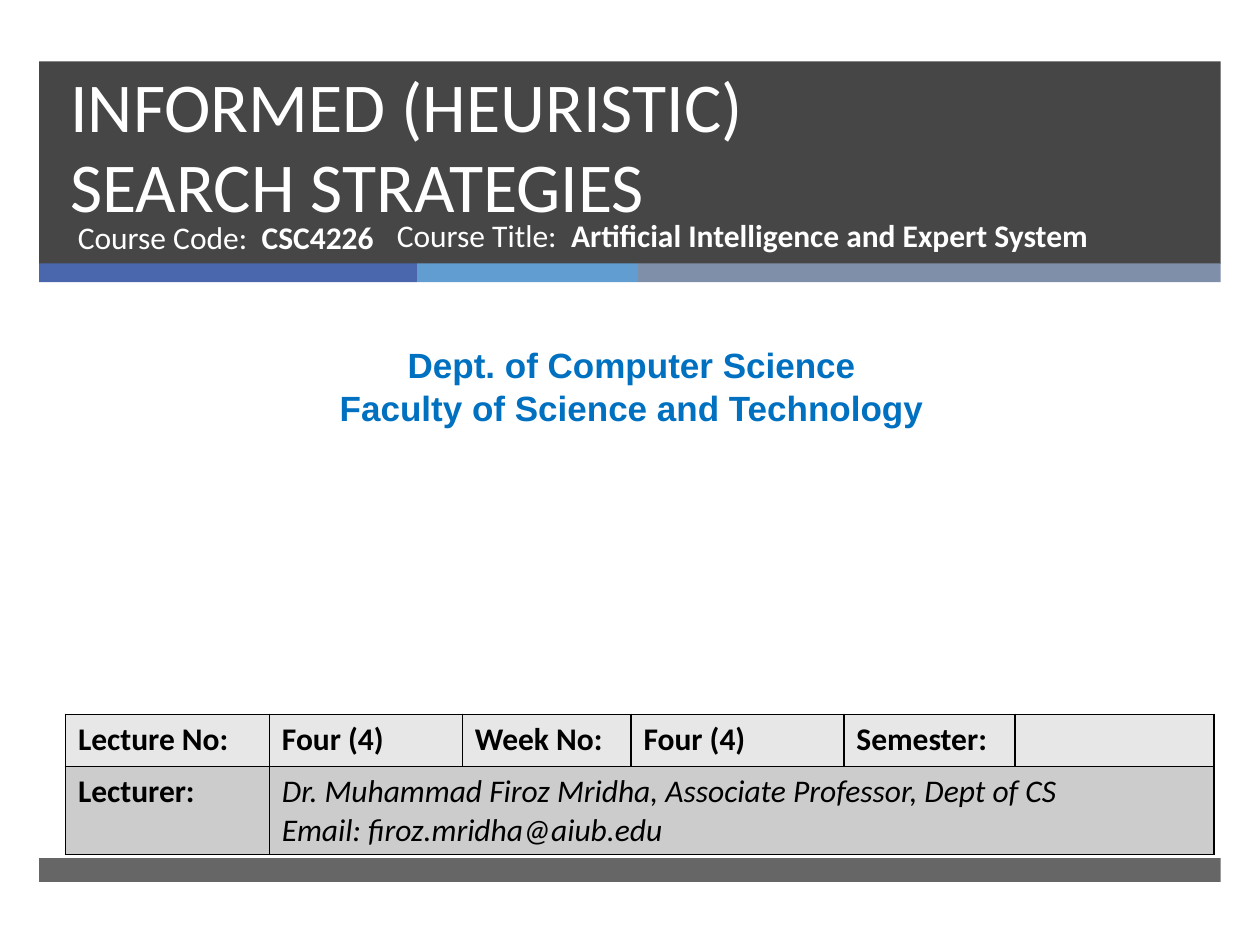
import pptx
import pptx.util
import pptx.dml.color
import pptx.enum.shapes
import pptx.enum.text
import pptx.oxml
import pptx.oxml.ns

Cm, Pt = pptx.util.Cm, pptx.util.Pt
ALIGN, ANCHOR = pptx.enum.text.PP_ALIGN, pptx.enum.text.MSO_ANCHOR

COLORS = {"dark": "262626", "indigo": "4A66AC", "sky": "629DD1", "slate": "7F8FA9",
          "white": "FFFFFF", "blue": "0070C0", "black": "000000",
          "light_row": "E7E7E7", "dark_row": "CCCCCC"}

# Content: bars as (top, height, opacity in percent), strips as (width, colour)
BAR_LEFT, BAR_WIDTH = 0.79, 23.82
BARS = [(1.24, 4.08, 85), (17.3, 0.48, 70)]
STRIP_TOP, STRIP_HEIGHT = 5.31, 0.38
STRIPS = [(7.62, "indigo"), (4.45, "sky"), (11.75, "slate")]

# Text formats
TITLE = {"name": "Calibri", "size": Pt(40), "color": "white"}
LABEL = {"name": "Calibri", "size": Pt(18), "color": "white"}
VALUE = {**LABEL, "bold": True}
DEPT = {"name": "Arial", "size": Pt(20), "color": "blue", "bold": True}
HEAD = {**VALUE, "color": "black"}
DETAIL = {**LABEL, "color": "black", "italic": True}

# Text boxes: (left, top, width, height), paragraphs of runs, frame and paragraph settings
BREAK = ("\n", None)
TEXTS = [
    ((1.17, 1.68, 21.69, 3.02),
     [[("INFORMED (HEURISTIC) ", TITLE), BREAK, ("SEARCH STRATEGIES", TITLE)]],
     {"vertical_anchor": ANCHOR.BOTTOM}, {"line_spacing": Pt(46)}),
    ((1.32, 4.27, 7.75, 1.35),
     [[("Course Code:  ", LABEL), ("CSC4226", VALUE)]], {}, {}),
    ((7.75, 4.24, 14.53, 1.35),
     [[("Course Title:  ", LABEL), ("Artificial Intelligence and Expert System", VALUE)]], {}, {}),
    ((0.2, 6.81, 25.07, 1.96),
     [[("Dept. of Computer Science", DEPT)], [("Faculty of Science and Technology", DEPT)]],
     {}, {"alignment": ALIGN.CENTER, "line_spacing": Pt(24)}),
]

# Lecture table
TABLE_LEFT, TABLE_TOP = 1.32, 14.4
COLUMNS = [4.11, 3.89, 3.4, 4.29, 3.45, 4.01]
ROWS = [(1.05, "light_row"), (1.77, "dark_row")]
CELLS = [
    [[[(text, HEAD)]] for text in
     ("Lecture No:", "Four (4)", "Week No:", "Four (4)", "Semester:", "")],
    [[[("Lecturer:", HEAD)]],
     [[("Dr. Muhammad Firoz Mridha, Associate Professor, Dept of CS", DETAIL)],
      [("Email: firoz.mridha@aiub.edu", DETAIL)]]],
]


def rgb(name):
    return pptx.dml.color.RGBColor.from_string(COLORS[name])


def add_bar(s, left, top, width, height, color, opacity=100):
    sp = s.shapes.add_shape(pptx.enum.shapes.MSO_SHAPE.RECTANGLE,
                            Cm(left), Cm(top), Cm(width), Cm(height))
    sp.shadow.inherit = False
    sp.fill.solid()
    sp.fill.fore_color.rgb = rgb(color)
    sp.line.fill.background()
    if opacity < 100:
        clr = sp.fill._xPr.find(".//" + pptx.oxml.ns.qn("a:srgbClr"))
        alpha = pptx.oxml.parse_xml(
            f'<a:alpha {pptx.oxml.ns.nsdecls("a")} val="{opacity * 1000}"/>')
        clr.append(alpha)


def write(tf, paragraphs, settings):
    for i, runs in enumerate(paragraphs):
        p = tf.add_paragraph() if i else tf.paragraphs[0]
        for key, value in settings.items():
            setattr(p, key, value)
        for text, fmt in runs:
            if fmt is None:
                p.add_line_break()
                continue
            r = p.add_run()
            r.text = text
            for key, value in fmt.items():
                if key == "color":
                    r.font.color.rgb = rgb(value)
                else:
                    setattr(r.font, key, value)


def style_cell(cell, color):
    tcPr = cell._tc.get_or_add_tcPr()
    for side in "LRTB":
        tcPr.append(pptx.oxml.parse_xml(
            f'<a:ln{side} {pptx.oxml.ns.nsdecls("a")} w="12700"><a:solidFill>'
            f'<a:srgbClr val="{COLORS["black"]}"/></a:solidFill></a:ln{side}>'))
    cell.fill.solid()
    cell.fill.fore_color.rgb = rgb(color)


def add_lecture_table(s):
    table = s.shapes.add_table(
        len(ROWS), len(COLUMNS), Cm(TABLE_LEFT), Cm(TABLE_TOP),
        Cm(sum(COLUMNS)), Cm(sum(height for height, _ in ROWS))).table
    for column, width in zip(table.columns, COLUMNS):
        column.width = Cm(width)
    for row, (height, color) in zip(table.rows, ROWS):
        row.height = Cm(height)
        for cell in row.cells:
            style_cell(cell, color)
    table.cell(1, 1).merge(table.cell(1, len(COLUMNS) - 1))
    for i, row in enumerate(CELLS):
        for j, paragraphs in enumerate(row):
            write(table.cell(i, j).text_frame, paragraphs, {})


def main():
    prs = pptx.Presentation()
    prs.slide_width, prs.slide_height = Cm(25.4), Cm(19.05)
    s = prs.slides.add_slide(prs.slide_layouts[6])

    # Header and footer bars, coloured strips
    for top, height, opacity in BARS:
        add_bar(s, BAR_LEFT, top, BAR_WIDTH, height, "dark", opacity)
    left = BAR_LEFT
    for width, color in STRIPS:
        add_bar(s, left, STRIP_TOP, width, STRIP_HEIGHT, color)
        left += width

    # Title, course and department
    for box, paragraphs, frame, settings in TEXTS:
        tf = s.shapes.add_textbox(*map(Cm, box)).text_frame
        tf.word_wrap = True
        for key, value in frame.items():
            setattr(tf, key, value)
        write(tf, paragraphs, settings)

    add_lecture_table(s)
    prs.save("out.pptx")


if __name__ == "__main__":
    main()
